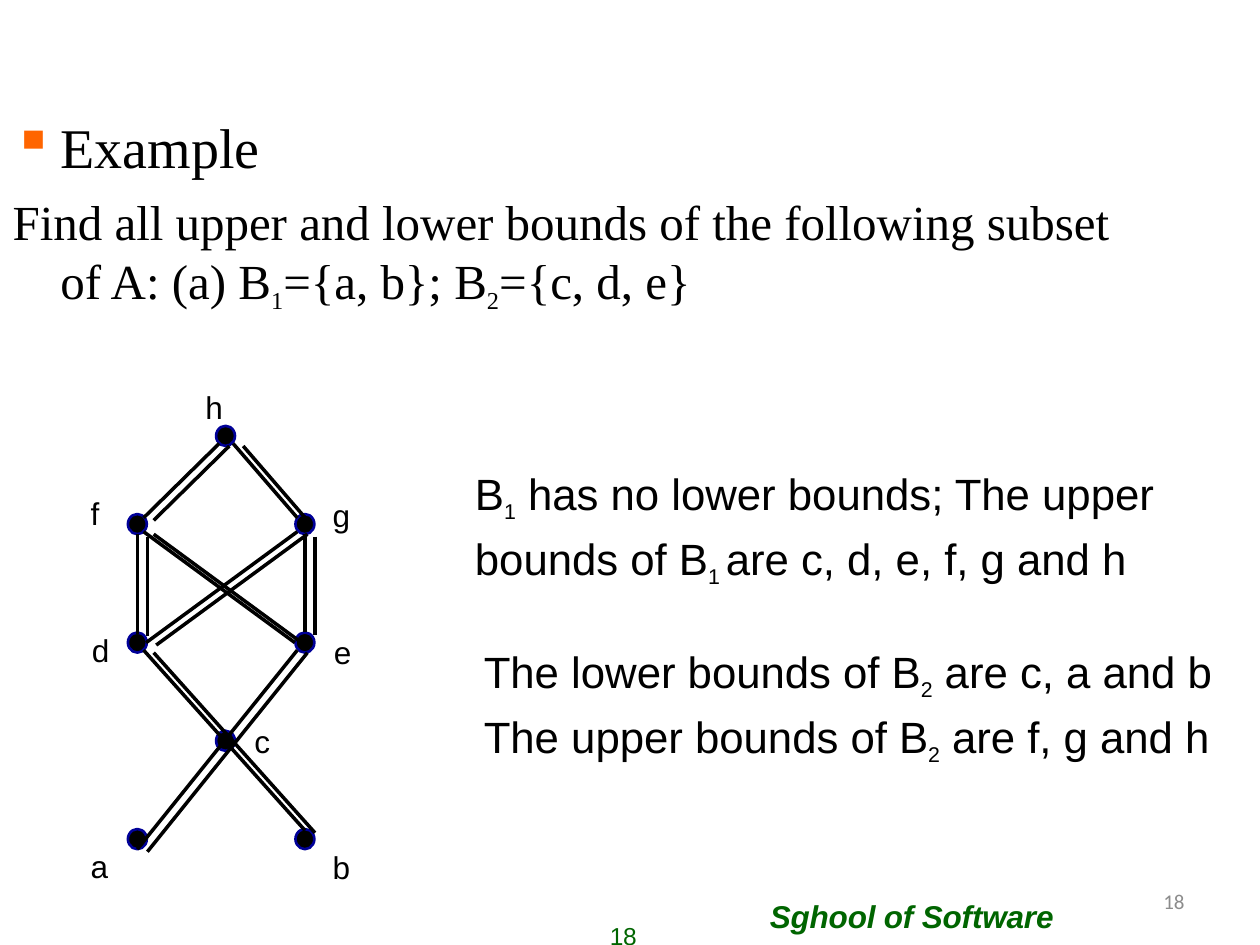
from dataclasses import dataclass

from lxml import etree
from pptx import Presentation
from pptx import util as u
from pptx.dml.color import RGBColor
from pptx.enum import shapes, text
from pptx.oxml import ns


@dataclass(frozen=True)
class Theme:
    ink: str = "000000"
    rim: str = "000098"
    mark: str = "FF6500"
    green: str = "006500"
    gray: str = "8C8C8C"
    serif: str = "Times New Roman"
    sans: str = "Arial"
    plain: str = "Calibri"
    title: int = 32
    task: int = 28
    low: int = 24
    reply: int = 25
    sub: int = 21
    label: int = 18
    page: int = 14
    count: int = 12


T = Theme()

# Graph nodes: centre of the dot, then corner of the label
NODES = {
    "h": (1.79, 3.46, 1.62, 3.08),
    "f": (1.09, 4.16, 0.71, 3.92),
    "g": (2.42, 4.16, 2.63, 3.94),
    "d": (1.09, 5.1, 0.72, 5.01),
    "e": (2.42, 5.1, 2.64, 5.02),
    "a": (1.09, 6.66, 0.71, 6.72),
    "b": (2.42, 6.66, 2.63, 6.73),
    "c": (1.79, 5.88, 2.01, 5.73),
}

# Graph edges: x1, y1, x2, y2
EDGES = [
    (1.74, 3.52, 1.14, 4.11),  # h-f
    (1.85, 3.52, 2.36, 4.11),  # h-g
    (1.09, 4.24, 1.09, 5.03),  # f-d
    (2.42, 4.24, 2.42, 5.02),  # g-e
    (1.14, 4.22, 2.34, 5.1),   # f-e
    (1.16, 5.1, 2.36, 4.22),   # d-g
    (1.14, 5.16, 2.42, 6.59),  # d-c-b
    (2.36, 5.16, 1.09, 6.74),  # e-c-a
]


def paint(hue):
    return RGBColor.from_string(hue)


def add_box(slide, x, y, w, h, wrap=True, inset=0):
    box = slide.shapes.add_textbox(u.Inches(x), u.Inches(y), u.Inches(w), u.Inches(h))
    frame = box.text_frame
    frame.word_wrap = wrap
    frame.margin_left = frame.margin_right = u.Inches(inset)
    frame.margin_top = frame.margin_bottom = u.Inches(inset / 2)
    return frame


def indent(para, left, first=0):
    props = para._p.get_or_add_pPr()
    props.set("marL", str(u.Inches(left)))
    props.set("indent", str(u.Inches(first)))
    return props


def add_mark(props):
    hue = etree.SubElement(props, ns.qn("a:buClr"))
    etree.SubElement(hue, ns.qn("a:srgbClr")).set("val", T.mark)
    etree.SubElement(props, ns.qn("a:buChar")).set("char", "▪")


def add_run(para, words, size, face=T.sans, hue=T.ink, base=0, track=0):
    run = para.add_run()
    run.text = words
    run.font.size = u.Pt(size)
    run.font.name = face
    run.font.color.rgb = paint(hue)
    if base:
        run.font._element.set("baseline", str(base * 1000))
    if track:
        run.font._element.set("spc", str(track))
    return run


def add_mixed(para, parts, size, low, face):
    """Parts take turns: plain text, subscript, plain text, ..."""
    for i, words in enumerate(parts):
        if i % 2:
            add_run(para, words, low, face, base=-25)
        else:
            add_run(para, words, size, face)


def add_label(slide, x, y, w, h, words, size, **look):
    para = add_box(slide, x, y, w, h, wrap=False).paragraphs[0]
    indent(para, 0.01)
    return add_run(para, words, size, **look)


def add_dot(slide, x, y, w=0.15, h=0.16):
    dot = slide.shapes.add_shape(
        shapes.MSO_SHAPE.OVAL,
        u.Inches(x - w / 2), u.Inches(y - h / 2), u.Inches(w), u.Inches(h))
    dot.shadow.inherit = False
    dot.fill.solid()
    dot.fill.fore_color.rgb = paint(T.ink)
    dot.line.color.rgb = paint(T.rim)
    dot.line.width = u.Pt(1.5)


def add_edge(slide, x1, y1, x2, y2):
    # Each edge is a double line
    for dx, dy in ((0.08, 0.02), (0, 0)):
        line = slide.shapes.add_connector(
            shapes.MSO_CONNECTOR.STRAIGHT,
            u.Inches(x1 + dx), u.Inches(y1 + dy),
            u.Inches(x2 + dx), u.Inches(y2 + dy))
        line.line.color.rgb = paint(T.ink)
        line.line.width = u.Pt(2)
        etree.SubElement(line._element.spPr, ns.qn("a:effectLst"))


def add_task(slide):
    frame = add_box(slide, 0.09, 0.89, 9.13, 1.59)
    head = frame.paragraphs[0]
    add_mark(indent(head, 0.39, -0.38))
    add_run(head, "Example", T.title, T.serif)
    body = frame.add_paragraph()
    indent(body, 0.39, -0.38)
    body.space_before = u.Pt(7)
    add_mixed(body, [
        "Find all upper and lower bounds of the following subset of A: (a) B",
        "1", "={a, b}; B", "2", "={c, d, e}"], T.task, T.low, T.serif)


def add_reply(slide, x, y, w, parts):
    para = add_box(slide, x, y, w, 0.91).paragraphs[0]
    indent(para, 0.01)
    para.line_spacing = 1.14
    add_mixed(para, parts, T.reply, T.sub, T.sans)


def add_graph(slide):
    for x, y, _, _ in NODES.values():
        add_dot(slide, x, y)
    for ends in EDGES:
        add_edge(slide, *ends)
    for name, (_, _, x, y) in NODES.items():
        add_label(slide, x, y, 0.17, 0.28, name, T.label)


def add_foot(slide):
    school = add_label(slide, 6.1, 7.12, 2.31, 0.28, "Sghool of Software",
                       T.label, hue=T.green, track=-10)
    school.font.bold = school.font.italic = True
    add_label(slide, 4.83, 7.31, 0.24, 0.22, "18", T.page, hue=T.green, track=-10)
    frame = add_box(slide, 7.17, 6.95, 2.33, 0.4, inset=0.1)
    frame.vertical_anchor = text.MSO_ANCHOR.MIDDLE
    para = frame.paragraphs[0]
    para.alignment = text.PP_ALIGN.RIGHT
    add_run(para, "18", T.count, T.plain, T.gray)


def main():
    deck = Presentation()
    deck.slide_width, deck.slide_height = u.Inches(10), u.Inches(7.5)
    slide = deck.slides.add_slide(deck.slide_layouts[6])

    # Question
    add_task(slide)
    # Hasse diagram
    add_graph(slide)
    # Answers
    add_reply(slide, 3.76, 3.64, 5.45, [
        "B", "1", " has no lower bounds; The upper bounds of B", "1 ",
        "are c, d, e, f, g and h"])
    add_reply(slide, 3.83, 5.05, 5.84, [
        "The lower bounds of B", "2", " are c, a and b The upper bounds of B",
        "2", " are f, g and h"])
    # Footer
    add_foot(slide)

    deck.save("out.pptx")


if __name__ == "__main__":
    main()
